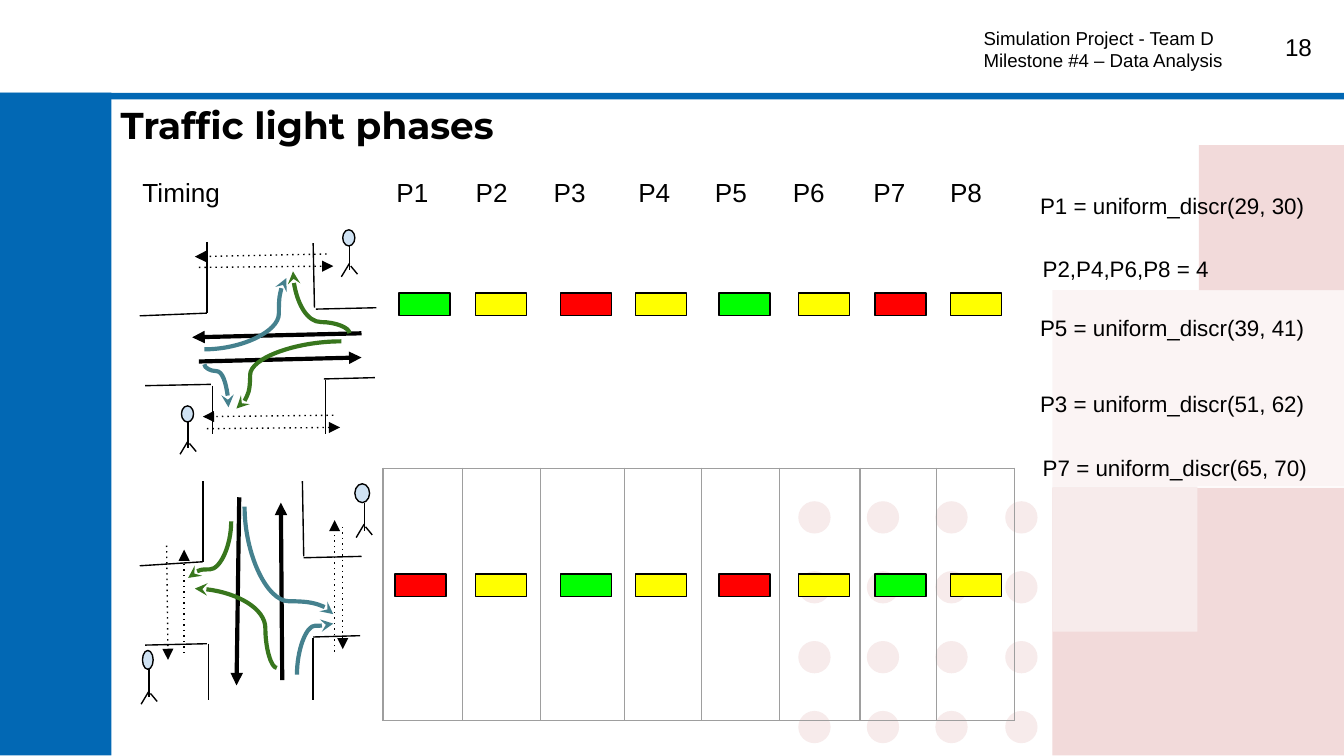
"""Build the slide on the timing of traffic light phases."""
import lxml.etree
import pptx
import pptx.dml.color
import pptx.enum.shapes
import pptx.enum.text
import pptx.oxml.ns
import pptx.util

EMU_PER_PX = 9144
RGBColor = pptx.dml.color.RGBColor
BLACK = RGBColor(0x00, 0x00, 0x00)
WHITE = RGBColor(0xFF, 0xFF, 0xFF)
BLUE = RGBColor(0x02, 0x68, 0xB4)
PINK = RGBColor(0xF2, 0xDA, 0xDA)
PALE_PINK = RGBColor(0xF7, 0xEB, 0xEB)
HEAD_BLUE = RGBColor(0xCF, 0xE2, 0xF3)
DARK_GREEN = RGBColor(0x38, 0x76, 0x1D)
TEAL = RGBColor(0x45, 0x81, 0x8E)
LIGHTS = {
    "G": RGBColor(0x00, 0xFF, 0x00),
    "Y": RGBColor(0xFF, 0xFF, 0x00),
    "R": RGBColor(0xFF, 0x00, 0x00),
}
RECTANGLE = pptx.enum.shapes.MSO_SHAPE.RECTANGLE
OVAL = pptx.enum.shapes.MSO_SHAPE.OVAL
STRAIGHT = pptx.enum.shapes.MSO_CONNECTOR.STRAIGHT
CURVE = pptx.enum.shapes.MSO_CONNECTOR.CURVE
ALIGN = pptx.enum.text.PP_ALIGN
GRID_GRAY = "9E9E9E"
NO_GRID_STYLE = "{2D5ABB26-0587-4C30-8999-92F81FD0307C}"


def px(length):
    return pptx.util.Emu(round(length * EMU_PER_PX))


def add_child(parent, tag, **attributes):
    return lxml.etree.SubElement(parent, pptx.oxml.ns.qn(tag), **attributes)


def add_box(slide, kind, box, fill, outline=None, alpha=None):
    shape = slide.shapes.add_shape(kind, *map(px, box))
    shape.shadow.inherit = False
    shape.fill.solid()
    shape.fill.fore_color.rgb = fill
    if alpha is not None:
        color = shape._element.spPr.find(".//" + pptx.oxml.ns.qn("a:srgbClr"))
        add_child(color, "a:alpha", val=str(alpha * 1000))
    if outline is None:
        shape.line.fill.background()
    else:
        shape.line.color.rgb = outline
        shape.line.width = pptx.util.Pt(0.75)


def write_run(paragraph, text, size, font="Arial", bold=False):
    run = paragraph.add_run()
    run.text = text
    run.font.size = pptx.util.Pt(size)
    run.font.name = font
    run.font.bold = bold
    run.font.color.rgb = BLACK


def add_text(slide, box, lines, size, font="Arial", bold=False, align=ALIGN.LEFT):
    frame = slide.shapes.add_textbox(*map(px, box)).text_frame
    frame.word_wrap = True
    frame.margin_left = frame.margin_right = px(10)
    frame.margin_top = frame.margin_bottom = px(10)
    for index, line in enumerate(lines):
        paragraph = frame.add_paragraph() if index else frame.paragraphs[0]
        paragraph.alignment = align
        write_run(paragraph, line, size, font, bold)


def style_connector(connector, color, width, dash=None, head=None):
    connector.line.color.rgb = color
    connector.line.width = pptx.util.Pt(width)
    properties = connector._element.spPr
    line = properties.find(pptx.oxml.ns.qn("a:ln"))
    if dash:
        add_child(line, "a:prstDash", val=dash)
    if head:
        add_child(line, "a:tailEnd", type=head)
    add_child(properties, "a:effectLst")


def add_line(slide, ends, width=0.75, dash=None, head=None):
    connector = slide.shapes.add_connector(STRAIGHT, *map(px, ends))
    style_connector(connector, BLACK, width, dash, head)


def add_curve(slide, ends, color, bend, upright=False):
    """Draw a curved arrow that bends at a share of its way; upright ones leave vertically."""
    x1, y1, x2, y2 = ends
    dx, dy = x2 - x1, y2 - y1
    if upright:
        middle_x, middle_y = (x1 + x2) / 2, (y1 + y2) / 2
        half_width, half_height = abs(dy) / 2, abs(dx) / 2
        if dx * dy > 0:
            half_height = -half_height
        ends = (middle_x - half_width, middle_y - half_height,
                middle_x + half_width, middle_y + half_height)
    connector = slide.shapes.add_connector(CURVE, *map(px, ends))
    properties = connector._element.spPr
    if upright:
        turn = 90 if dy > 0 else 270
        properties.find(pptx.oxml.ns.qn("a:xfrm")).set("rot", str(turn * 60000))
    geometry = properties.find(pptx.oxml.ns.qn("a:prstGeom"))
    guides = geometry.find(pptx.oxml.ns.qn("a:avLst"))
    if guides is None:
        guides = add_child(geometry, "a:avLst")
    add_child(guides, "a:gd", name="adj1", fmla=f"val {round(bend * 100000)}")
    style_connector(connector, color, 2.25, head="stealth")


def add_person(slide, head, x, hip):
    add_box(slide, OVAL, head, HEAD_BLUE, BLACK)
    neck = head[1] + head[3]
    for ends in ((x, neck, x, hip), (x, hip - 5, x - 6, hip + 5),
                 (x + 1, hip - 3, x + 6, hip + 3)):
        add_line(slide, ends)


def add_background(slide):
    for y in (373, 425, 477, 529):
        for x in (594, 645, 696, 748):
            add_box(slide, OVAL, (x, y, 24, 24), PALE_PINK)
    add_box(slide, RECTANGLE, (783, 216, 217, 146), PINK, alpha=28)
    for box, fill in (((0, 0, 83, 562), BLUE), ((892, 108, 108, 108), PINK),
                      ((783, 363, 217, 199), PINK), ((783, 362, 108, 108), PALE_PINK),
                      ((0, 0, 1000, 69), WHITE), ((0, 69, 1000, 5), BLUE)):
        add_box(slide, RECTANGLE, box, fill)


def set_borders(cell, sides):
    properties = cell._tc.get_or_add_tcPr()
    for index, side in enumerate(sides):
        line = lxml.etree.Element(pptx.oxml.ns.qn("a:ln" + side), w="9525")
        add_child(add_child(line, "a:solidFill"), "a:srgbClr", val=GRID_GRAY)
        properties.insert(index, line)


def add_phase_table(slide):
    widths = (189, 59, 58, 63, 57, 58, 60, 57, 58)
    heights = (39, 182, 188)
    headings = ["Timing"] + [f"P{number}" for number in range(1, 9)]
    table = slide.shapes.add_table(len(heights), len(widths), px(96), px(123),
                                   px(sum(widths)), px(sum(heights))).table
    table.first_row = table.horz_banding = False
    table._tbl.tblPr.find(pptx.oxml.ns.qn("a:tableStyleId")).text = NO_GRID_STYLE
    for column, width in enumerate(widths):
        table.columns[column].width = px(width)
    for row, height in enumerate(heights):
        table.rows[row].height = px(height)
        for column, heading in enumerate(headings):
            cell = table.cell(row, column)
            cell.margin_left = cell.margin_right = px(10)
            cell.margin_top = cell.margin_bottom = px(10)
            cell.fill.background()
            if row == 0:
                write_run(cell.text_frame.paragraphs[0], heading, 14)
            elif row == 1 and column:
                set_borders(cell, "B")
            elif row == 2:
                set_borders(cell, "LRTB" if column else "R")


def add_crossing(slide, kerbs, roads, curves, people, walkways):
    for ends in kerbs:
        add_line(slide, ends)
    for ends in roads:
        add_line(slide, ends, 2.25, head="triangle")
    for curve in curves:
        add_curve(slide, *curve)
    for person in people:
        add_person(slide, *person)
    for ends in walkways:
        add_line(slide, ends, dash="dot", head="triangle")


def add_lights(slide, first_x, y, sequence):
    for x, light in zip((first_x, 354, 417, 473, 535, 594, 651, 707), sequence):
        add_box(slide, RECTANGLE, (x, y, 38, 17), LIGHTS[light], BLACK)


def main():
    presentation = pptx.Presentation()
    presentation.slide_width = px(1000)
    presentation.slide_height = px(1000 * 9 / 16)
    slide = presentation.slides.add_slide(presentation.slide_layouts[6])
    add_background(slide)
    add_text(slide, (80, 66, 312, 47), ["Traffic light phases"], 20, "Montserrat", True)
    add_text(slide, (926, 14, 60, 43), ["18"], 13, align=ALIGN.RIGHT)
    add_text(slide, (722, 10, 233, 56),
             ["Simulation Project - Team D", "Milestone #4 – Data Analysis"], 10)
    add_phase_table(slide)
    add_crossing(
        slide,
        kerbs=((154, 180, 154, 233), (104, 235, 154, 233), (233, 181, 234, 229),
               (235, 230, 280, 229), (108, 287, 157, 286), (158, 287, 158, 323),
               (241, 282, 279, 281), (242, 283, 242, 323)),
        roads=((269, 248, 143, 251), (148, 269, 269, 266)),
        curves=(((260, 248, 218, 202), DARK_GREEN, 0.18, True),
                ((254, 254, 176, 304), DARK_GREEN, 0.87),
                ((152, 271, 170, 303), TEAL, 0.16, True),
                ((152, 260, 213, 207), TEAL, 0.91)),
        people=(((255, 171, 9, 12), 260, 201), ((135, 302, 9, 12), 140, 333)),
        walkways=((154, 319, 253, 318), (248, 309, 151, 310),
                  (148, 199, 248, 198), (243, 189, 145, 191)))
    add_crossing(
        slide,
        kerbs=((151, 358, 151, 418), (104, 421, 151, 418), (225, 358, 226, 414),
               (226, 415, 269, 414), (108, 480, 154, 479), (155, 479, 155, 521),
               (233, 474, 268, 473), (233, 475, 233, 521)),
        roads=((178, 370, 176, 510), (210, 506, 209, 374)),
        curves=(((172, 388, 140, 430), DARK_GREEN, 0.85, True),
                ((206, 497, 145, 438), DARK_GREEN, 0.14),
                ((221, 502, 248, 464), TEAL, 0.96, True),
                ((182, 377, 248, 457), TEAL, 0.88, True)),
        people=(((264, 360, 11, 14), 271, 395), ((106, 484, 8, 14), 111, 519)),
        walkways=((124, 406, 125, 491), (137, 486, 137, 409),
                  (255, 392, 255, 483), (249, 485, 249, 387)))
    add_lights(slide, 297, 218, "GYRYGYRY")
    add_lights(slide, 294, 427, "RYGYRYGY")
    for x, y, width, formula in ((764, 133, 221, "P1 = uniform_discr(29, 30)"),
                                 (766, 180, 167, "P2,P4,P6,P8 = 4"),
                                 (764, 224, 221, "P5 = uniform_discr(39, 41)"),
                                 (764, 280, 221, "P3 = uniform_discr(51, 62)"),
                                 (766, 328, 221, "P7 = uniform_discr(65, 70)")):
        add_text(slide, (x, y, width, 50), [formula], 12)
    presentation.save("out.pptx")


if __name__ == "__main__":
    main()
